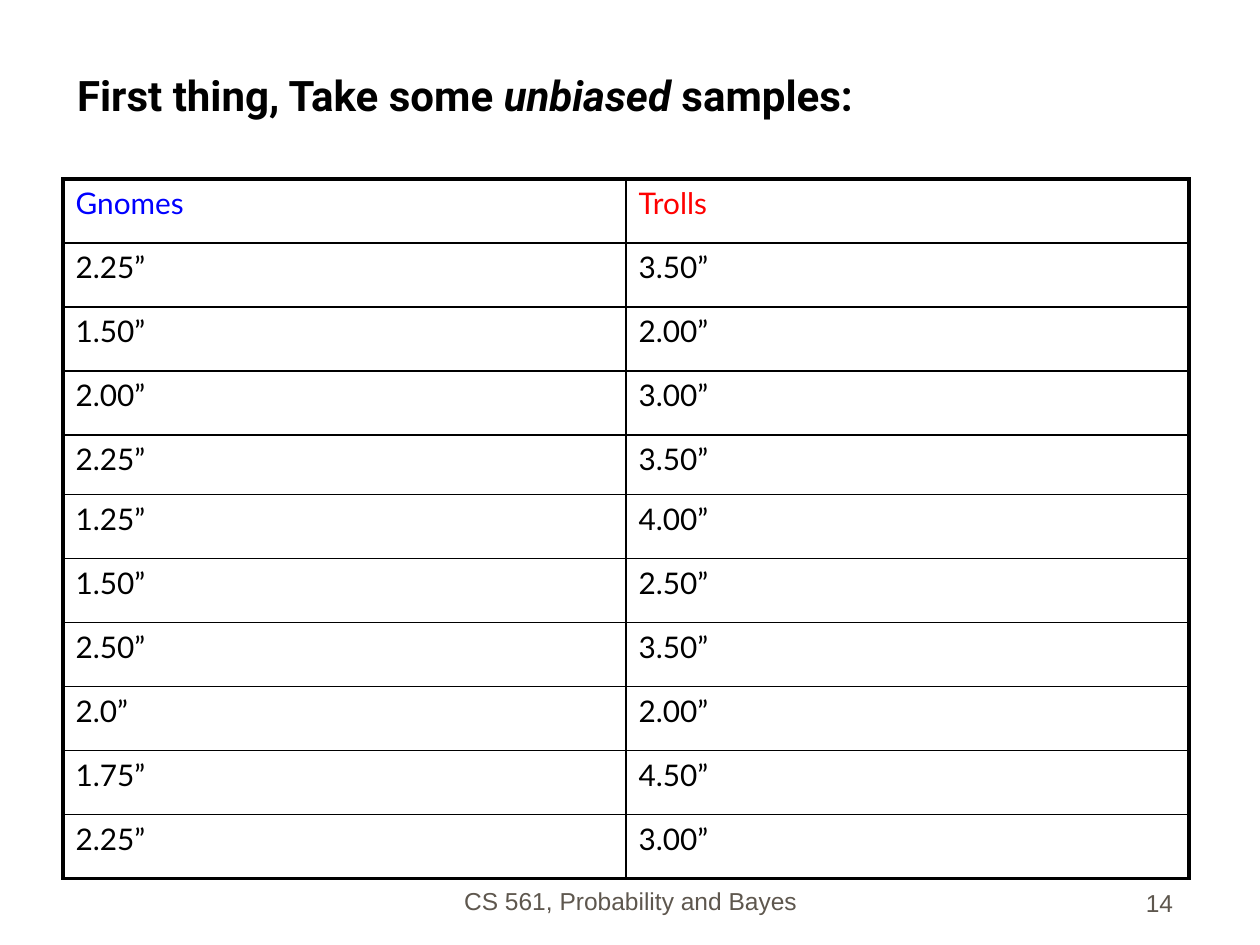
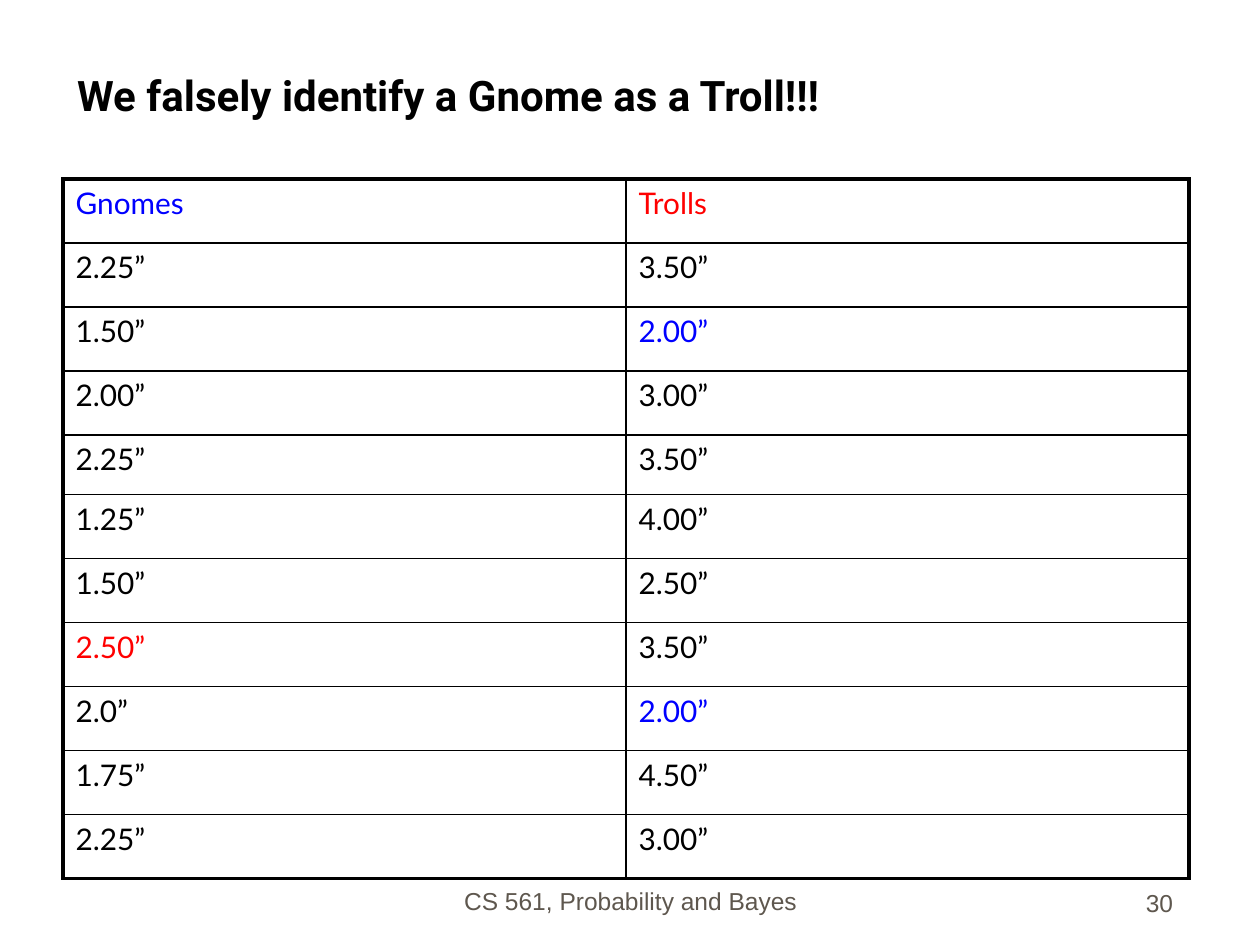
from lxml.etree import SubElement
from pptx import Presentation
from pptx.dml.color import RGBColor
from pptx.enum.text import MSO_ANCHOR, MSO_AUTO_SIZE, PP_ALIGN
from pptx.oxml.ns import qn
from pptx.util import Cm, Pt

# Shared look
BLACK, BLUE, RED, GREY = "000000", "0000FF", "FF0000", "5E574E"
THICK, THIN = Pt(2.25), Pt(1)
TITLE_BOX = (1.3, 0.64, 22.66, 1.9)
TABLE_BOX = (1.27, 3.61, 22.7, 14.1)
FOOTER_BOX = (8.69, 17.3, 8.05, 1.27)
NUMBER_BOX = (18.62, 17.35, 5.28, 1.27)
SHORT_ROW, SHORT_HEIGHT = 4, 1.2

# Sampled heights: one pair per table row
HEADINGS = ("Gnomes", "Trolls")
SAMPLES = [
    ("2.25”", "3.50”"),
    ("1.50”", "2.00”"),
    ("2.00”", "3.00”"),
    ("2.25”", "3.50”"),
    ("1.25”", "4.00”"),
    ("1.50”", "2.50”"),
    ("2.50”", "3.50”"),
    ("2.0”", "2.00”"),
    ("1.75”", "4.50”"),
    ("2.25”", "3.00”"),
]
HEADING_COLOURS = {(0, 0): BLUE, (0, 1): RED}
MISTAKEN_COLOURS = {(2, 1): BLUE, (7, 0): RED, (8, 1): BLUE}


def rgb(value):
    return RGBColor.from_string(value)


def style_paragraph(paragraph, face, size, colour, bold=False, align=PP_ALIGN.LEFT):
    paragraph.alignment = align
    font = paragraph.font
    font.name, font.size, font.bold = face, Pt(size), bold
    font.color.rgb = rgb(colour)


def add_title(slide, box, parts):
    """Fill the title with (text, italic) parts."""
    title = slide.shapes.title
    title.left, title.top, title.width, title.height = map(Cm, box)
    frame = title.text_frame
    frame.vertical_anchor = MSO_ANCHOR.BOTTOM
    frame.auto_size = MSO_AUTO_SIZE.NONE
    paragraph = frame.paragraphs[0]
    style_paragraph(paragraph, "Roboto", 24, BLACK, bold=True)
    for text, italic in parts:
        run = paragraph.add_run()
        run.text = text
        if italic:
            run.font.italic = True


def add_footer_text(slide, box, text, align):
    frame = slide.shapes.add_textbox(*map(Cm, box)).text_frame
    frame.word_wrap = True
    frame.vertical_anchor = MSO_ANCHOR.BOTTOM
    frame.text = text
    style_paragraph(frame.paragraphs[0], "Arial", 14, GREY, align=align)


def set_borders(cell, widths):
    """Draw the left, right, top and bottom borders of a cell."""
    properties = cell._tc.get_or_add_tcPr()
    for side, width in zip("LRTB", widths):
        line = SubElement(properties, qn(f"a:ln{side}"), w=str(int(width)))
        fill = SubElement(line, qn("a:solidFill"))
        SubElement(fill, qn("a:srgbClr"), val=BLACK)


def add_samples_table(slide, box, colours):
    left, top, width, height = box
    rows = [HEADINGS, *SAMPLES]
    last_row, last_column = len(rows) - 1, len(HEADINGS) - 1
    table = slide.shapes.add_table(len(rows), len(HEADINGS), *map(Cm, box)).table
    table.first_row = table.horz_banding = False
    for column in table.columns:
        column.width = Cm(width / len(HEADINGS))
    full_height = (height - SHORT_HEIGHT) / last_row
    for r, texts in enumerate(rows):
        table.rows[r].height = Cm(SHORT_HEIGHT if r == SHORT_ROW else full_height)
        for c, text in enumerate(texts):
            cell = table.cell(r, c)
            cell.text = text
            style_paragraph(cell.text_frame.paragraphs[0], "Lato", 17,
                            colours.get((r, c), BLACK))
            on_edge = (c == 0, c == last_column, r == 0, r == last_row)
            set_borders(cell, [THICK if edge else THIN for edge in on_edge])
            cell.fill.background()


def add_samples_slide(deck, title_parts, number, marked):
    slide = deck.slides.add_slide(deck.slide_layouts[5])
    add_footer_text(slide, FOOTER_BOX, "CS 561, Probability and Bayes", PP_ALIGN.CENTER)
    add_footer_text(slide, NUMBER_BOX, number, PP_ALIGN.RIGHT)
    add_title(slide, TITLE_BOX, title_parts)
    add_samples_table(slide, TABLE_BOX, HEADING_COLOURS | marked)


def main():
    deck = Presentation()
    deck.slide_width, deck.slide_height = Cm(25.4), Cm(19.05)
    # Unbiased samples
    add_samples_slide(
        deck,
        [("First thing, Take some ", False), ("unbiased", True), (" samples:", False)],
        "14", {})
    # Misidentified samples stand out in the other group's colour
    add_samples_slide(
        deck, [("We falsely identify a Gnome as a Troll!!!", False)],
        "30", MISTAKEN_COLOURS)
    deck.save("out.pptx")


if __name__ == "__main__":
    main()
